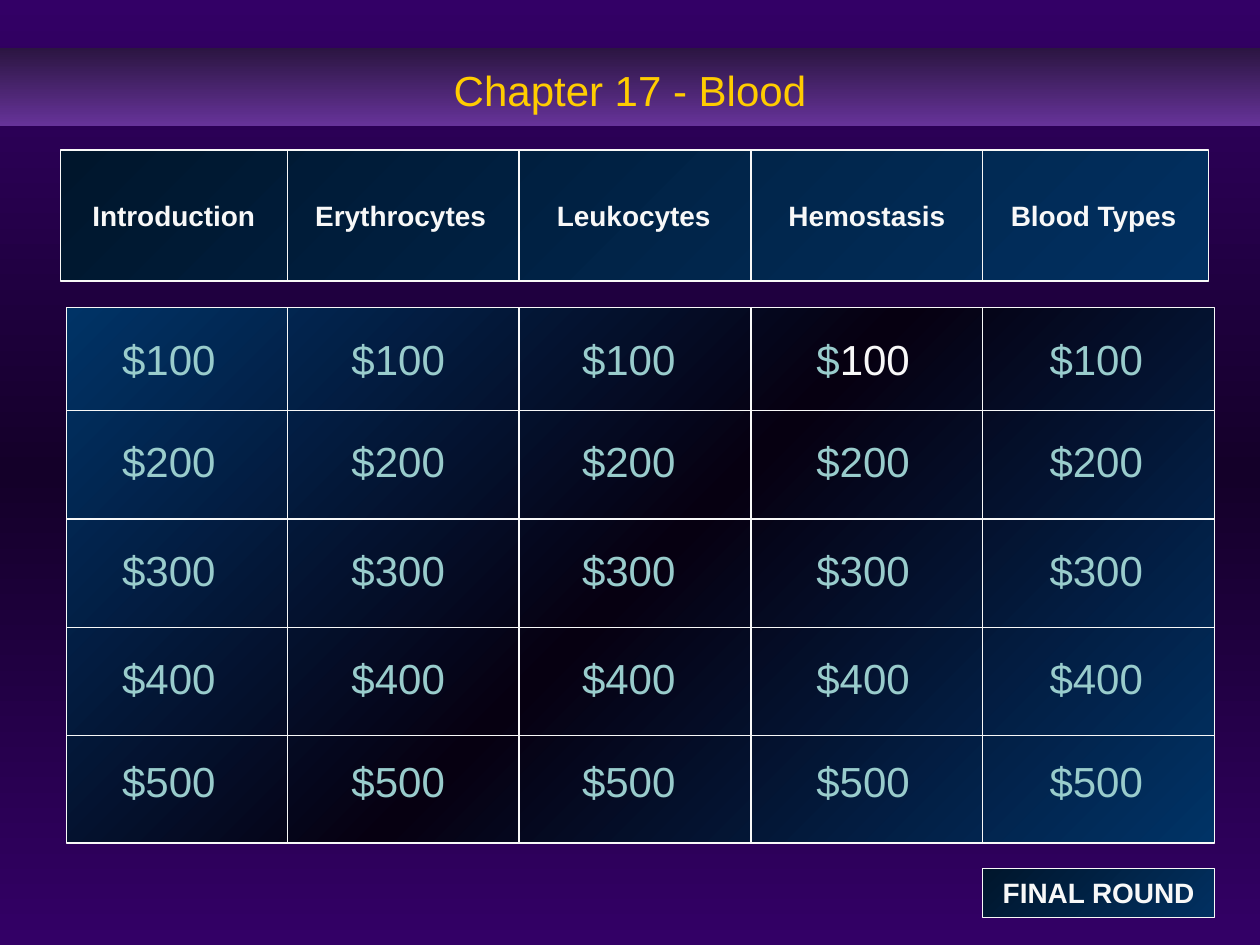
from lxml import etree
from pptx import Presentation, util as u
from pptx.dml.color import RGBColor
from pptx.enum import shapes, text
from pptx.oxml.ns import qn

TITLE = "Chapter 17 - Blood"
CATEGORIES = ["Introduction", "Erythrocytes", "Leukocytes", "Hemostasis", "Blood Types"]
AMOUNTS = ["$100", "$200", "$300", "$400", "$500"]
FINAL = "FINAL ROUND"
VISITED = ("Hemostasis", "$100")

PURPLE = RGBColor(0x33, 0x00, 0x66)
NIGHT = RGBColor(0x14, 0x00, 0x29)
PLUM = RGBColor(0x2B, 0x15, 0x41)
VIOLET = RGBColor(0x66, 0x33, 0x99)
BLUE = RGBColor(0x00, 0x33, 0x66)
BLACK = RGBColor(0x06, 0x00, 0x11)
NAVY = RGBColor(0x01, 0x30, 0x61)
INK = RGBColor(0x00, 0x16, 0x2C)
WHITE = RGBColor(0xF8, 0xF8, 0xF8)
GOLD = RGBColor(0xFF, 0xCC, 0x00)
TEAL = RGBColor(0x99, 0xCC, 0xCC)

WIDTH, HEIGHT = 10, 7.5
BOARD = (0.53, 2.44, 9.11, 4.25)
HEADER = (0.48, 1.19, 9.11, 1.04)
BANNER = (0, 0.38, WIDTH, 0.62)
BUTTON = (7.8, 6.89, 1.84, 0.39)
COLUMN_LINES = [2.28 + 1.84 * i for i in range(4)]
ROW_LINES = [3.26 + 0.86 * i for i in range(4)]
HEADING_CENTERS = [1.38, 3.18, 5.03, 6.88, 8.68]
AMOUNT_CENTERS = [1.34, 3.16, 4.99, 6.85, 8.7]
ROW_CENTERS = [2.85, 3.66, 4.52, 5.38, 6.2]
HEADING_SIZE = (1.67, 0.37)
AMOUNT_SIZE = (1.19, 0.5)


def paint_gradient(fill, element, colors, angle):
    fill.gradient()
    fill.gradient_angle = angle
    stops = element.find(".//" + qn("a:gsLst"))
    for stop in list(stops):
        stops.remove(stop)
    for i, color in enumerate(colors):
        position = str(100000 * i // (len(colors) - 1))
        stop = etree.SubElement(stops, qn("a:gs"), pos=position)
        etree.SubElement(stop, qn("a:srgbClr"), val=str(color))


def write(shape, words, size, color, bold=False, wrap=True):
    frame = shape.text_frame
    frame.text = words
    frame.word_wrap = wrap
    frame.vertical_anchor = text.MSO_ANCHOR.MIDDLE
    para = frame.paragraphs[0]
    para.alignment = text.PP_ALIGN.CENTER
    style(para.runs[0], size, color, bold)
    return para


def style(span, size, color, bold=False):
    span.font.name = "Arial"
    span.font.size = u.Pt(size)
    span.font.bold = bold
    span.font.color.rgb = color


def add_panel(page, area, colors, angle, outlined=True):
    panel = page.shapes.add_shape(shapes.MSO_SHAPE.RECTANGLE, *map(u.Inches, area))
    panel.shadow.inherit = False
    paint_gradient(panel.fill, panel.element, colors, angle)
    if outlined:
        panel.line.color.rgb = WHITE
        panel.line.width = u.Pt(0.75)
    else:
        panel.line.fill.background()
    return panel


def add_label(page, center, middle, size, words, points, color, bold=False):
    width, height = size
    area = (center - width / 2, middle - height / 2, width, height)
    box = page.shapes.add_textbox(*map(u.Inches, area))
    return write(box, words, points, color, bold)


def add_rule(page, *ends):
    rule = page.shapes.add_connector(shapes.MSO_CONNECTOR.STRAIGHT, *map(u.Inches, ends))
    rule.line.color.rgb = WHITE
    rule.line.width = u.Pt(0.75)
    etree.SubElement(rule.element.spPr, qn("a:effectLst"))


def main():
    deck = Presentation()
    deck.slide_width, deck.slide_height = u.Inches(WIDTH), u.Inches(HEIGHT)
    page = deck.slides.add_slide(deck.slide_layouts[6])
    paint_gradient(page.background.fill, page.element, [PURPLE, NIGHT, PURPLE], 270)

    add_panel(page, BOARD, [BLUE, BLACK, BLUE], 135)
    banner = add_panel(page, BANNER, [PLUM, VIOLET], 270, outlined=False)
    write(banner, TITLE, 24, GOLD).line_spacing = 1.1
    add_panel(page, HEADER, [NAVY, INK], 135)

    for category, heading_x, amount_x in zip(CATEGORIES, HEADING_CENTERS, AMOUNT_CENTERS):
        add_label(page, heading_x, 1.71, HEADING_SIZE, category, 16, WHITE, bold=True)
        for amount, middle in zip(AMOUNTS, ROW_CENTERS):
            para = add_label(page, amount_x, middle, AMOUNT_SIZE, amount, 24, TEAL)
            if (category, amount) == VISITED:
                para.runs[0].text = amount[0]
                span = para.add_run()
                span.text = amount[1:]
                style(span, 24, WHITE)

    for left, top, width, height in (HEADER, BOARD):
        for x in COLUMN_LINES:
            add_rule(page, x, top, x, top + height)
    for y in ROW_LINES:
        add_rule(page, BOARD[0], y, BOARD[0] + BOARD[2], y)

    button = add_panel(page, BUTTON, [NAVY, INK], 135)
    write(button, FINAL, 16, WHITE, bold=True, wrap=False)
    deck.save("out.pptx")


if __name__ == "__main__":
    main()
